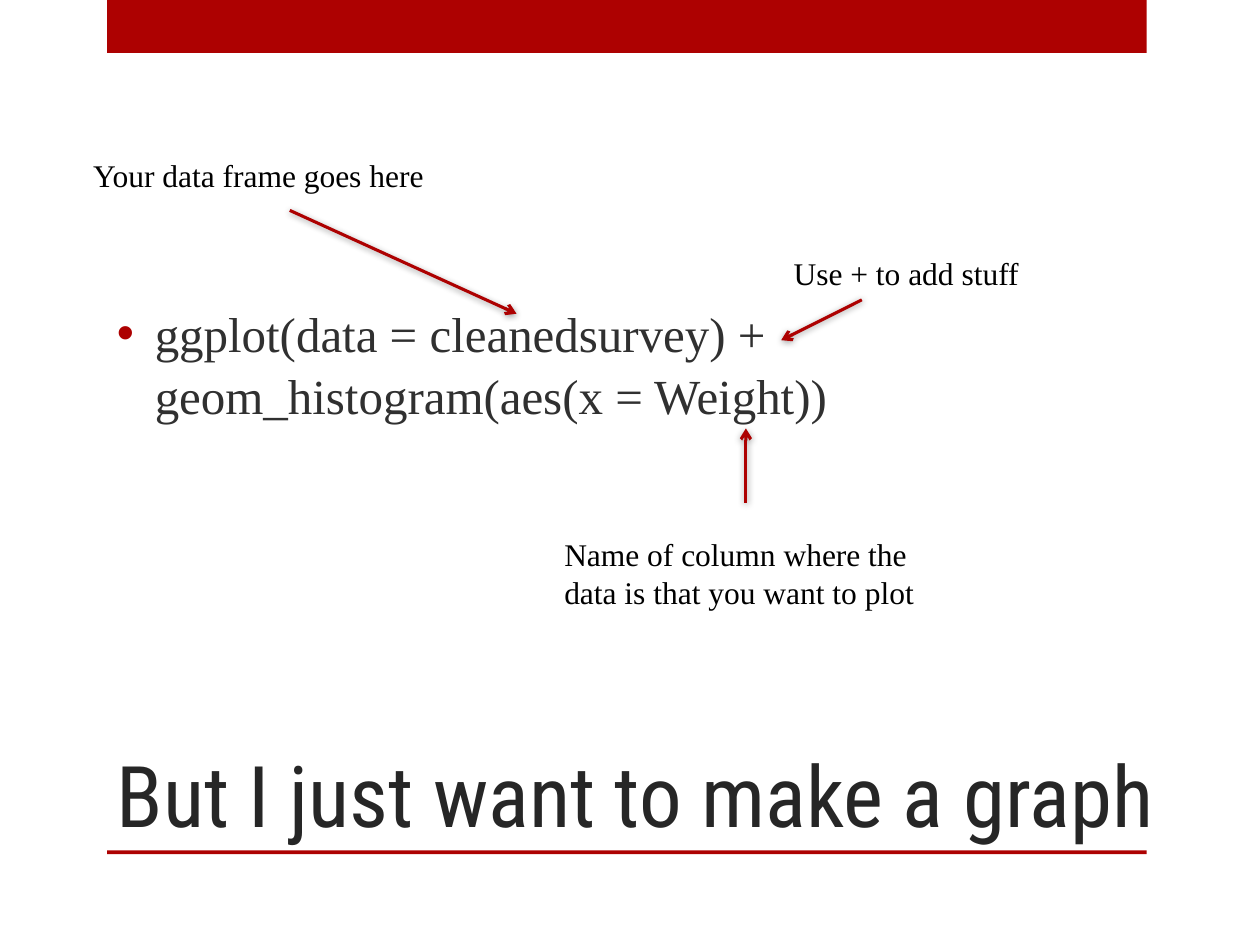
from lxml import etree
from pptx import Presentation
from pptx import util as u
from pptx.dml.color import RGBColor
from pptx.enum import shapes, text
from pptx.oxml import parse_xml
from pptx.oxml.ns import nsdecls, qn

THEME = dict(
    accent="AD0101", title="262626", body="303030", note="000000",
    title_font="Roboto Condensed", text_font="Times New Roman",
    title_size=48.6, body_size=28, note_size=18, arrow_width=1.75,
)
WIDTH, HEIGHT = 10, 7.5
LEFT, COLUMN = 0.85, 8.25      # bars
TEXT_LEFT = 0.83               # title and code
BODY_TOP, TITLE_TOP, RULE_TOP = HEIGHT * 0.1, HEIGHT * 2 / 3, HEIGHT * 0.9

TITLE = "But I just want to make a graph"
CODE = "ggplot(data = cleanedsurvey) + geom_histogram(aes(x = Weight))"
BARS = [(0, 0.42), (RULE_TOP, 0.03)]  # top, height
NOTES = [  # text, box, arrow start, arrow end
    ("Your data frame goes here", (0.64, 1.19, 2.87, 0.4), (2.3, 1.67), (4.1, 2.49)),
    ("Use + to add stuff", (6.2, 1.97, 2.04, 0.4), (6.84, 2.38), (6.2, 2.7)),
    ("Name of column where the\vdata is that you want to plot",
     (4.38, 4.2, 3.08, 0.71), (5.92, 3.99), (5.92, 3.4)),
]
SHADOW = f"""<a:effectLst {nsdecls('a')}>
  <a:outerShdw blurRad="50800" dist="12700" dir="5280000" rotWithShape="0">
    <a:srgbClr val="000000"><a:alpha val="40000"/></a:srgbClr>
  </a:outerShdw></a:effectLst>"""


def color(name):
    return RGBColor.from_string(THEME[name])


def inches(*values):
    return [u.Inches(v) for v in values]


def add_text(slide, content, box, *, role, font="text_font", wrap=True,
             anchor=text.MSO_ANCHOR.TOP):
    tf = slide.shapes.add_textbox(*inches(*box)).text_frame
    tf.word_wrap = wrap
    tf.vertical_anchor = anchor
    tf.auto_size = text.MSO_AUTO_SIZE.NONE if wrap else text.MSO_AUTO_SIZE.SHAPE_TO_FIT_TEXT
    p = tf.paragraphs[0]
    p.text = content
    for r in p.runs:
        r.font.name = THEME[font]
        r.font.size = u.Pt(THEME[role + "_size"])
        r.font.color.rgb = color(role)
    return p


def add_bullet(p, indent):
    pPr = p._p.get_or_add_pPr()
    pPr.set("marL", str(u.Inches(indent)))
    pPr.set("indent", str(-u.Inches(indent)))
    bullet_color = etree.SubElement(pPr, qn("a:buClr"))
    etree.SubElement(bullet_color, qn("a:srgbClr"), val=THEME["accent"])
    etree.SubElement(pPr, qn("a:buFont"), typeface="Arial")
    etree.SubElement(pPr, qn("a:buChar"), char="•")


def add_bar(slide, top, height):
    sp = slide.shapes.add_shape(shapes.MSO_SHAPE.RECTANGLE,
                                *inches(LEFT, top, COLUMN, height))
    sp.shadow.inherit = False
    sp.fill.solid()
    sp.fill.fore_color.rgb = color("accent")
    sp.line.fill.background()


def add_arrow(slide, start, end):
    arrow = slide.shapes.add_connector(shapes.MSO_CONNECTOR.STRAIGHT, *inches(*start, *end))
    arrow.line.color.rgb = color("accent")
    arrow.line.width = u.Pt(THEME["arrow_width"])
    etree.SubElement(arrow.line._get_or_add_ln(), qn("a:tailEnd"), type="arrow")
    arrow._element.spPr.append(parse_xml(SHADOW))


def main():
    prs = Presentation()
    prs.slide_width, prs.slide_height = inches(WIDTH, HEIGHT)
    s = prs.slides.add_slide(prs.slide_layouts[6])

    for top, height in BARS:
        add_bar(s, top, height)

    add_text(s, TITLE, (TEXT_LEFT, TITLE_TOP, WIDTH - TEXT_LEFT, RULE_TOP - TITLE_TOP),
             role="title", font="title_font", anchor=text.MSO_ANCHOR.BOTTOM)
    code = add_text(s, CODE, (TEXT_LEFT, BODY_TOP, COLUMN, TITLE_TOP - BODY_TOP),
                    role="body", anchor=text.MSO_ANCHOR.MIDDLE)
    code.line_spacing = 1.05
    code.space_before = u.Pt(THEME["body_size"] * 0.2)
    add_bullet(code, 0.3)

    for note, box, start, end in NOTES:
        add_arrow(s, start, end)
        add_text(s, note, box, role="note", wrap=False)

    prs.save("out.pptx")


if __name__ == "__main__":
    main()
